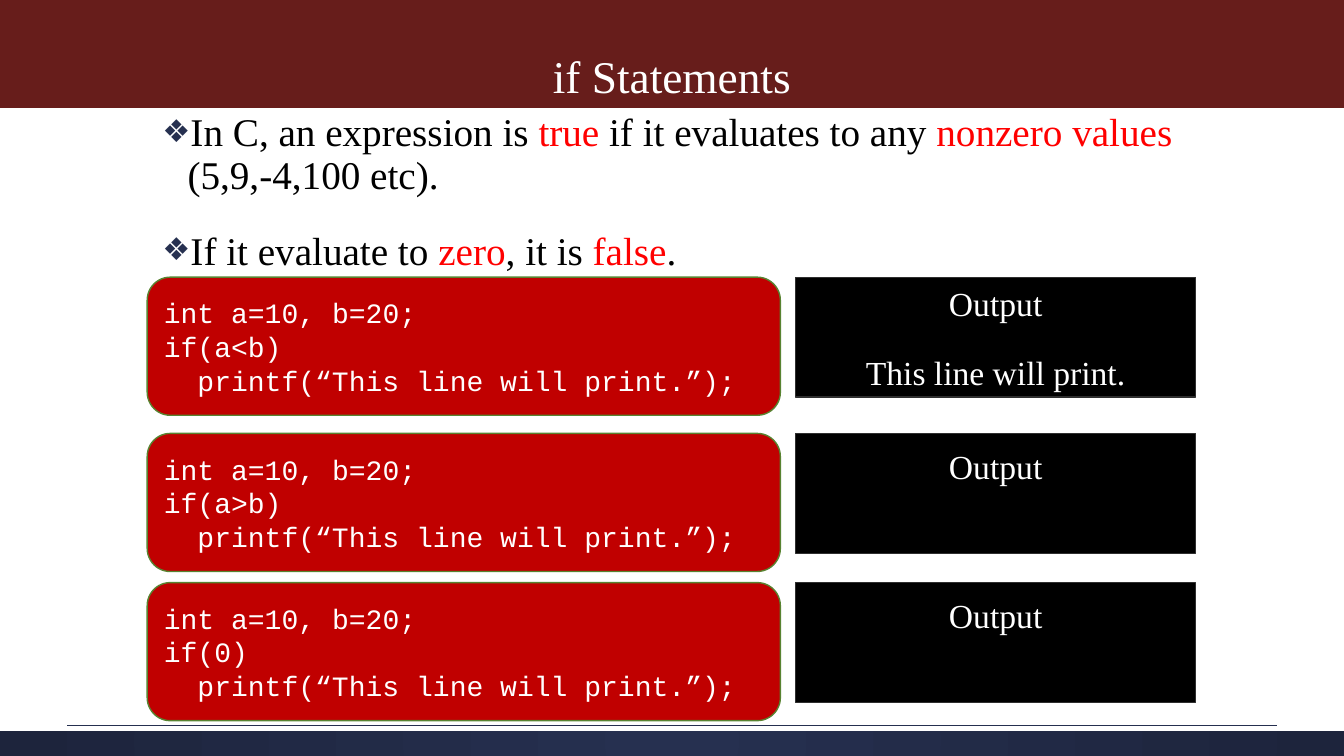
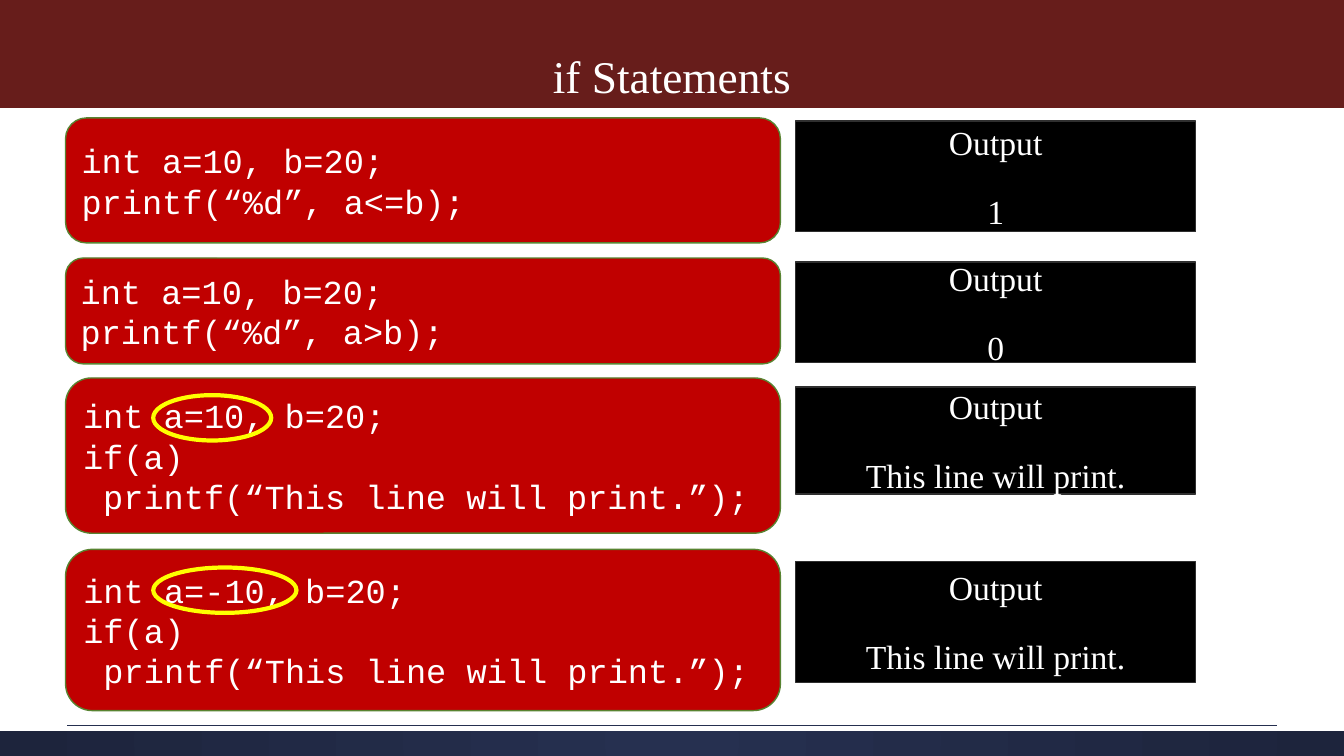
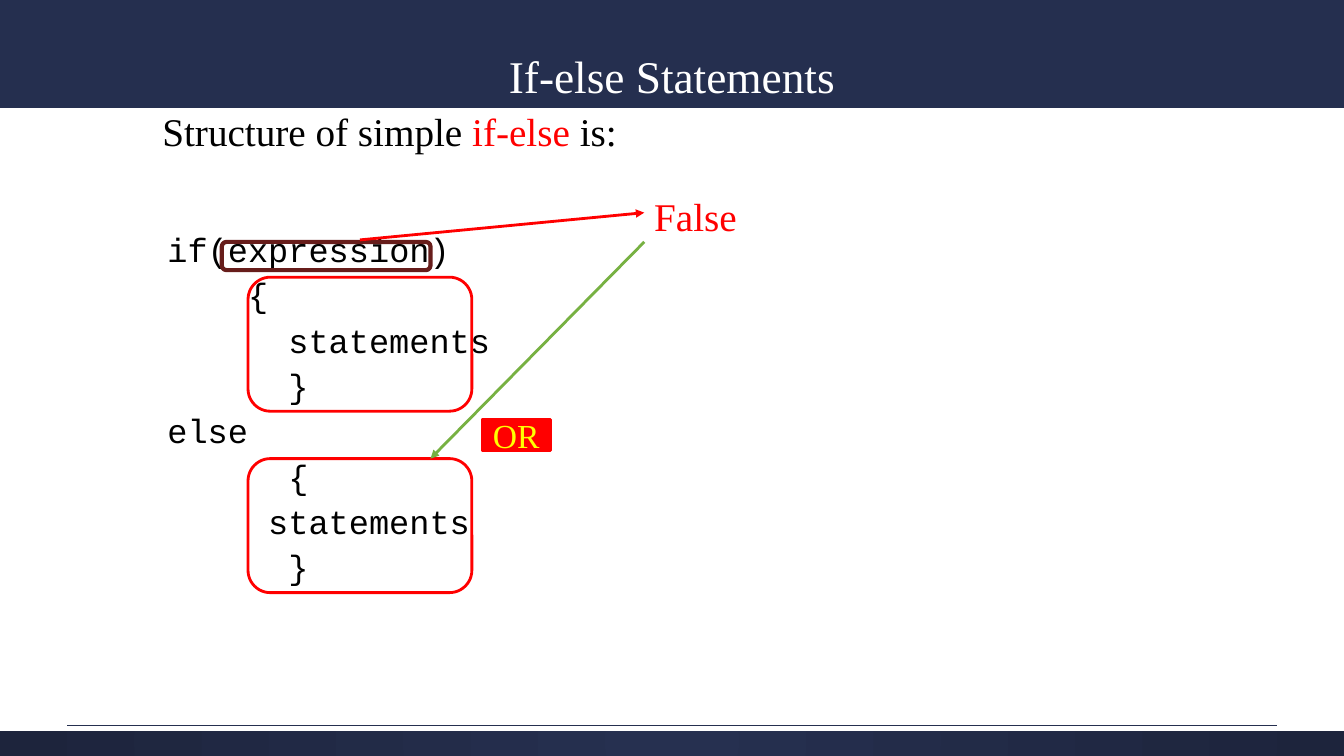
from dataclasses import dataclass
from typing import Optional

from lxml.etree import SubElement
from pptx import Presentation
from pptx.dml.color import RGBColor
from pptx.enum.shapes import MSO_CONNECTOR, MSO_SHAPE
from pptx.enum.text import MSO_ANCHOR, MSO_AUTO_SIZE, PP_ALIGN
from pptx.oxml.ns import qn
from pptx.util import Inches, Pt


@dataclass(frozen=True)
class Theme:
    serif: str = "Times New Roman"
    mono: str = "Courier New"
    navy: str = "263050"
    deep: str = "1D243C"
    band: str = "252F4F"
    wine: str = "671D1B"
    card: str = "C00000"
    edge: str = "588331"
    green: str = "77B142"
    red: str = "FF0000"
    gold: str = "FFFF00"
    white: str = "FFFFFF"
    black: str = "000000"
    gray: str = "2F2F2F"
    head: float = 32.4
    body: float = 28
    text: float = 24
    code: float = 20


@dataclass(frozen=True)
class Line:
    """One paragraph; words between asterisks take the accent colour."""
    text: str
    left: float = 0
    hang: float = 0
    before: float = 0
    after: float = 0
    lead: float = 1
    bullet: str = ""
    font: str = ""
    size: float = 0


@dataclass(frozen=True)
class Pair:
    """A code card and the console box beside it."""
    top: float
    tall: float
    out: float
    high: float
    code: tuple[str, ...]
    tab: int = 0
    result: str = ""


T = Theme()
WIDE, TALL = 13.33, 7.5
LEFT, RIGHT = 1.46, 11.86      # content column
MID, GAP = 7.74, 0.15          # right edge of the code, gutter
BAND, FOOT = 1.07, 0.3         # title band and footer heights
CHAR = 0.6                     # width of a mono character, in ems


def rgb(color: str) -> RGBColor:
    return RGBColor.from_string(color)


def place(shape, x: float, y: float, w: float, h: float) -> None:
    shape.left, shape.top, shape.width, shape.height = map(Inches, (x, y, w, h))


def write(shape, lines: list[Line], *, font: str = T.serif, size: float = T.text,
          color: str = T.white, accent: str = T.red, align=PP_ALIGN.LEFT,
          anchor=MSO_ANCHOR.MIDDLE, bottom: float = 0.05) -> None:
    frame = shape.text_frame
    frame.word_wrap, frame.auto_size = True, MSO_AUTO_SIZE.NONE
    frame.vertical_anchor = anchor
    frame.margin_bottom = Inches(bottom)
    for i, line in enumerate(lines):
        para = frame.add_paragraph() if i else frame.paragraphs[0]
        para.alignment, para.line_spacing = align, line.lead
        para.space_before, para.space_after = Pt(line.before), Pt(line.after)
        props = para._p.get_or_add_pPr()
        props.set("marL", str(Inches(line.left)))
        props.set("indent", str(Inches(-line.hang)))
        if line.bullet:
            tint = SubElement(props, qn("a:buClr"))
            SubElement(tint, qn("a:srgbClr"), val=T.navy)
            SubElement(props, qn("a:buSzPct"), val="80000")
            SubElement(props, qn("a:buChar"), char=line.bullet)
        else:
            SubElement(props, qn("a:buNone"))
        for j, part in enumerate(line.text.split("*")):
            if part:
                run = para.add_run()
                run.text = part
                run.font.name = line.font or font
                run.font.size = Pt(line.size or size)
                run.font.color.rgb = rgb(accent if j % 2 else color)


def box(slide, kind, x: float, y: float, w: float, h: float, *,
        fill: Optional[str] = None, line: Optional[str] = None, width: float = 1):
    shape = slide.shapes.add_shape(kind, *map(Inches, (x, y, w, h)))
    shape.shadow.inherit = False
    if fill:
        shape.fill.solid()
        shape.fill.fore_color.rgb = rgb(fill)
    else:
        shape.fill.background()
    if line:
        shape.line.color.rgb = rgb(line)
        shape.line.width = Pt(width)
    else:
        shape.line.fill.background()
    return shape


def link(slide, x: float, y: float, to_x: float, to_y: float, *,
         color: str, width: float = 2, arrow: bool = True):
    wire = slide.shapes.add_connector(
        MSO_CONNECTOR.STRAIGHT, *map(Inches, (x, y, to_x, to_y)))
    wire.line.color.rgb = rgb(color)
    wire.line.width = Pt(width)
    if arrow:
        SubElement(wire.line._get_or_add_ln(), qn("a:tailEnd"), type="triangle")
    SubElement(wire.element.spPr, qn("a:effectLst"))
    return wire


def footer(deck, slide) -> None:
    """Draw the footer once and hand it to the slide master."""
    top = TALL - FOOT
    bar = box(slide, MSO_SHAPE.RECTANGLE, 0, top, WIDE, FOOT)
    bar.fill.gradient()
    for stop, color in zip(bar.fill.gradient_stops, (T.navy, T.deep)):
        stop.color.rgb = rgb(color)
    grad = bar.element.spPr.find(qn("a:gradFill"))
    grad.remove(grad.find(qn("a:lin")))
    ring = SubElement(grad, qn("a:path"))
    ring.set("path", "circle")
    SubElement(ring, qn("a:fillToRect"), l="50000", t="50000", r="50000", b="50000")
    strip = box(slide, MSO_SHAPE.RECTANGLE, 0, top, WIDE, 0.05, fill=T.white)
    rule = link(slide, WIDE * 0.05, top, WIDE * 0.95, top,
                color=T.band, width=0.75, arrow=False)
    tree = deck.slide_master.shapes.element
    for i, part in enumerate((bar, strip, rule)):
        part.element.xpath(".//p:cNvPr")[0].set("id", str(100 + i))
        tree.append(part.element)


def start(deck, title: str, color: str, lines: Optional[list[Line]] = None):
    """Add a slide with its title band and, if given, its body text."""
    slide = deck.slides.add_slide(deck.slide_layouts[1 if lines else 5])
    head = slide.shapes.title
    place(head, 0, 0, WIDE, BAND)
    head.fill.solid()
    head.fill.fore_color.rgb = rgb(color)
    write(head, [Line(title)], size=T.head, align=PP_ALIGN.CENTER,
          anchor=MSO_ANCHOR.BOTTOM)
    if lines:
        body = slide.placeholders[1]
        place(body, LEFT, BAND, RIGHT - LEFT, 6.17)
        write(body, lines, size=T.body, color=T.black, anchor=MSO_ANCHOR.TOP)
    return slide


def panel(slide, pair: Pair, left: float, size: float) -> None:
    card = box(slide, MSO_SHAPE.ROUNDED_RECTANGLE, left, pair.top, MID - left,
               pair.tall, fill=T.card, line=T.edge)
    step = pair.tab * CHAR * size / 72
    write(card, [Line(t, left=step if t.startswith("printf") else 0)
                 for t in pair.code], font=T.mono, size=size)
    out = box(slide, MSO_SHAPE.RECTANGLE, MID + GAP, pair.out,
              RIGHT - MID - GAP, pair.high, fill=T.black, line=T.gray)
    lines = [Line("Output")]
    if pair.result:
        lines.append(Line(pair.result, before=20.5))
    write(out, lines, align=PP_ALIGN.CENTER, bottom=0.05 if pair.result else 0.59)


def tests(deck) -> None:
    point = dict(left=0.3, hang=0.25, before=12, after=12, lead=0.9, bullet="❖")
    slide = start(deck, "if Statements", T.wine, [
        Line("In C, an expression is *true* if it evaluates to any "
             "*nonzero values *(5,9,-4,100 etc).", **point),
        Line("If it evaluate to *zero*, it is *false*.", **point)])
    footer(deck, slide)
    rows = ((2.75, "a<b", SHOWN), (4.3, "a>b", ""), (5.78, "0", ""))
    for top, test, result in rows:
        code = (START, f"if({test})", PRINT)
        panel(slide, Pair(top, 1.37, top, 1.19, code, 2, result), LEFT, T.code)


def values(deck) -> None:
    slide = start(deck, "if Statements", T.wine)
    pairs = (
        Pair(1.17, 1.24, 1.2, 1.1, (START, "printf(“%d”, a<=b);"), 0, "1"),
        Pair(2.56, 1.05, 2.6, 1, (START, "printf(“%d”, a>b);"), 0, "0"),
        Pair(3.75, 1.54, 3.84, 1.06, (START, "if(a)", PRINT), 1, SHOWN),
        Pair(5.45, 1.6, 5.57, 1.2, ("int a=-10, b=20;", "if(a)", PRINT), 1, SHOWN))
    for pair in pairs:
        panel(slide, pair, 0.65, T.text)
    # Rings round the tested values
    for top, width in ((3.92, 1.17), (5.63, 1.42)):
        box(slide, MSO_SHAPE.OVAL, 1.52, top, width, 0.45, line=T.gold, width=3)


def branch(deck) -> None:
    # Code lines, each with its indent in characters
    code = (("if(expression)", 0), ("{", 4), ("statements", 6), ("}", 6),
            ("else", 0), ("{", 6), ("statements", 5), ("}", 6))
    lines = [Line("Structure of simple *if-else* is:", left=0.3, hang=0.25, lead=0.9)]
    lines += [Line(text, left=0.1 + tab * CHAR * T.text / 72, lead=0.5,
                   before=18 if i else 65, font=T.mono, size=T.text)
              for i, (text, tab) in enumerate(code)]
    slide = start(deck, "If-else Statements", T.band, lines)
    # Frames round the two blocks and the condition
    for top in (2.75, 4.55):
        box(slide, MSO_SHAPE.ROUNDED_RECTANGLE, 2.46, top, 2.22, 1.33,
            line=T.red, width=2)
    tag = box(slide, MSO_SHAPE.RECTANGLE, 4.78, 4.16, 0.68, 0.31,
              fill=T.red, line=T.red, width=2)
    write(tag, [Line("OR")], color=T.gold, align=PP_ALIGN.CENTER)
    box(slide, MSO_SHAPE.ROUNDED_RECTANGLE, 2.2, 2.4, 2.07, 0.28,
        line=T.wine, width=3)
    # Path taken when the condition fails
    link(slide, 6.39, 2.4, 4.27, 4.55, color=T.green)
    label = slide.shapes.add_textbox(*map(Inches, (6.39, 1.86, 1.25, 0.5)))
    write(label, [Line("False")], size=T.body, color=T.red, anchor=MSO_ANCHOR.TOP)
    wire = link(slide, 3.57, 2.38, 6.39, 2.11, color=T.red)
    wire.end_connect(label, 1)


START = "int a=10, b=20;"
PRINT = "printf(“This line will print.”);"
SHOWN = "This line will print."


def main() -> None:
    deck = Presentation()
    deck.slide_width, deck.slide_height = Inches(WIDE), Inches(TALL)
    for make in (tests, values, branch):
        make(deck)
    deck.save("out.pptx")


if __name__ == "__main__":
    main()
